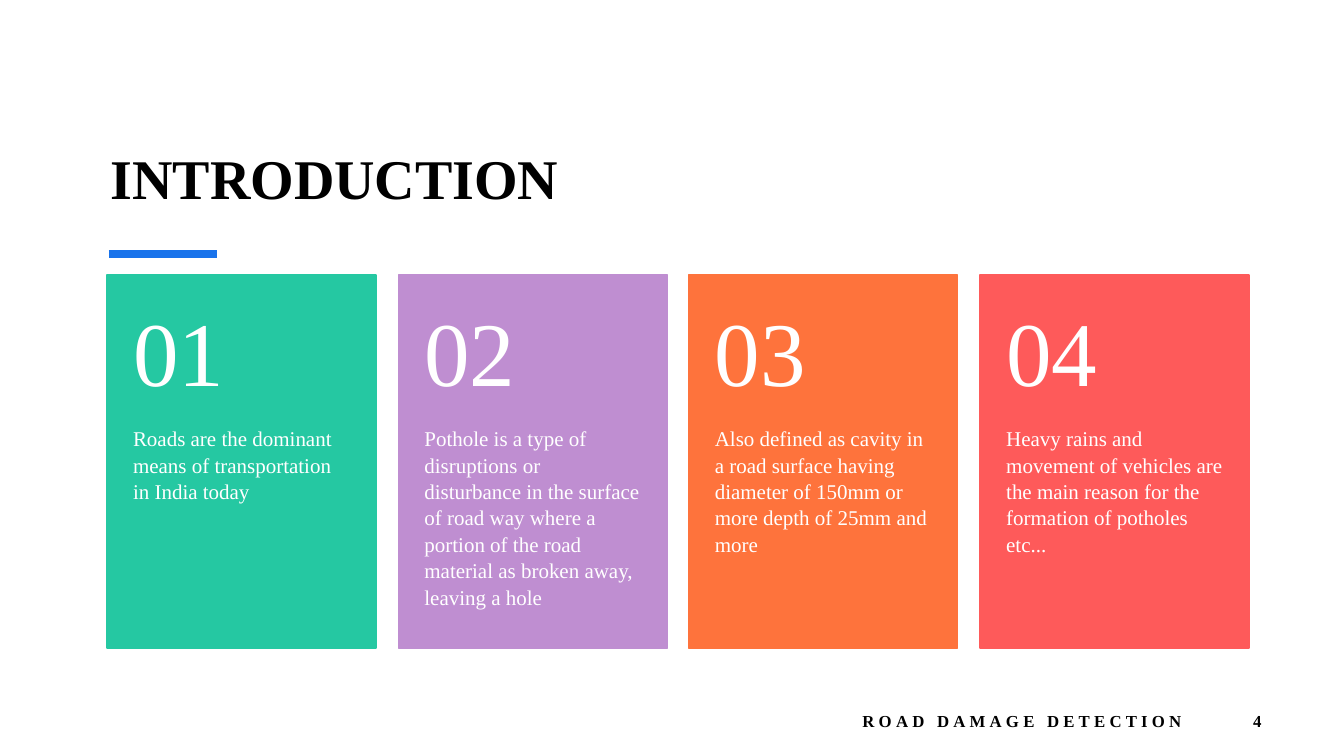
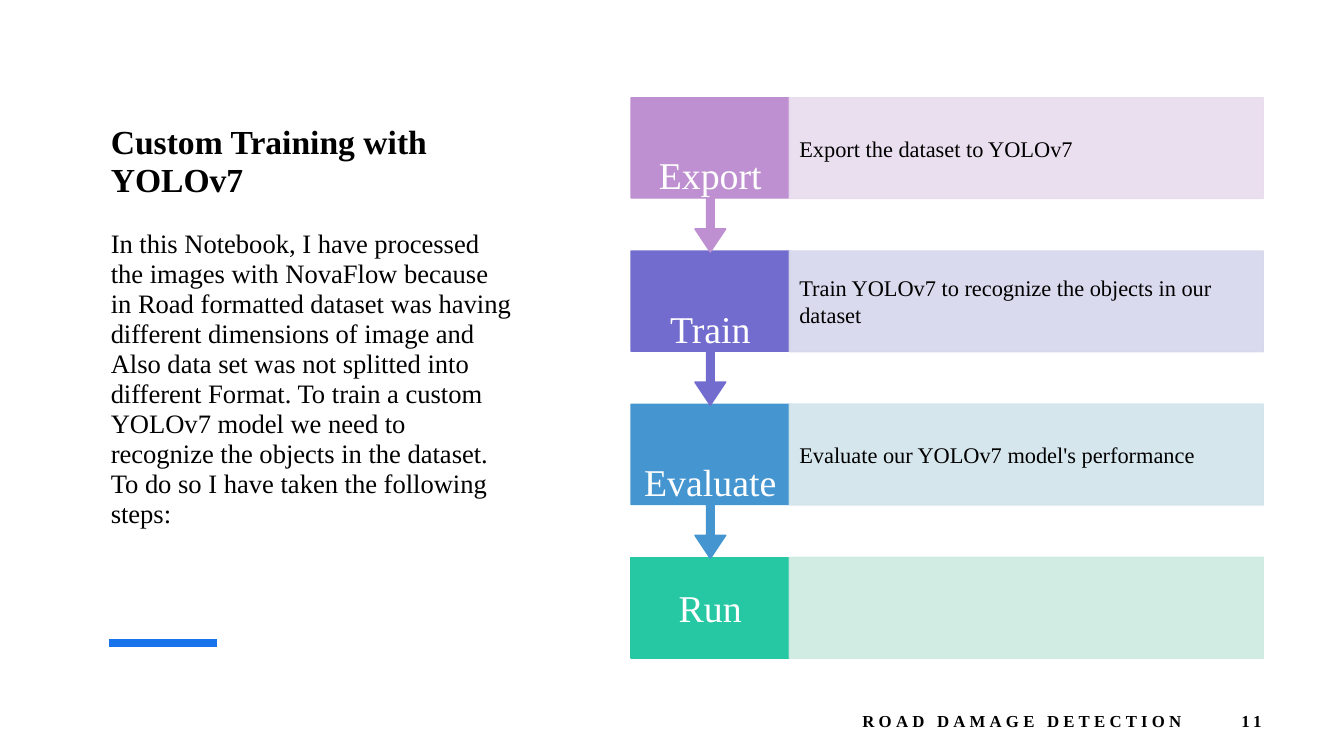
from dataclasses import dataclass

from pptx import Presentation
from pptx.dml.color import RGBColor
from pptx.enum.shapes import MSO_CONNECTOR, MSO_SHAPE
from pptx.enum.text import MSO_ANCHOR, PP_ALIGN
from pptx.oxml.ns import qn
from pptx.oxml.xmlchemy import OxmlElement
from pptx.util import Emu, Pt

RECT, CALLOUT = MSO_SHAPE.RECTANGLE, MSO_SHAPE.UP_ARROW_CALLOUT
STRAIGHT = MSO_CONNECTOR.STRAIGHT
TOP, MIDDLE, BOTTOM = MSO_ANCHOR.TOP, MSO_ANCHOR.MIDDLE, MSO_ANCHOR.BOTTOM
LEFT, CENTER, RIGHT = PP_ALIGN.LEFT, PP_ALIGN.CENTER, PP_ALIGN.RIGHT

EMU_PER_PX = 9144  # 100 px to the inch


@dataclass(frozen=True)
class Theme:
    font: str = "Times New Roman"
    ink: str = "000000"
    paper: str = "FFFFFF"
    accent: str = "1973EB"
    title: int = 40
    heading: int = 24
    body: int = 19
    number: int = 65
    card: int = 15
    step: int = 27
    detail: int = 16
    footer: int = 12


THEME = Theme()
FOOTER = "ROAD DAMAGE DETECTION"
INSETS = (10, 5, 10, 5)

CARDS = [
    ("25C8A2", "Roads are the dominant means of transportation in India today"),
    ("BF8ED1", "Pothole is a type of disruptions or disturbance in the surface of "
               "road way where a portion of the road material as broken away, "
               "leaving a hole"),
    ("FE733C", "Also defined as cavity in a road surface having diameter of 150mm "
               "or more depth of 25mm and more"),
    ("FE5A5A", "Heavy rains and movement of vehicles are the main reason for the "
               "formation of potholes etc..."),
]

TRAINING_TEXT = (
    "In this Notebook, I have processed the images with NovaFlow because in Road "
    "formatted dataset was having different dimensions of image and Also data set "
    "was not splitted into different Format. To train a custom YOLOv7 model we need "
    "to recognize the objects in the dataset. To do so I have taken the following "
    "steps:"
)

# name, box colour, panel colour, detail
STEPS = [
    ("Export", "BF90D1", "E8DCEE", "Export the dataset to YOLOv7"),
    ("Train", "726CCF", "D7D7ED",
     "Train YOLOv7 to recognize the objects in our dataset"),
    ("Evaluate", "4495D0", "D2E4EC", "Evaluate our YOLOv7 model's performance"),
    ("Run", "25C8A2", "CDEBE0", None),
]


def px(n):
    return Emu(n * EMU_PER_PX)


def rgb(color):
    return RGBColor.from_string(color)


# Elements
def style(p, size, color=THEME.ink, bold=False, align=LEFT, leading=None,
          tracking=None):
    p.alignment = align
    font = p.font
    font.name, font.size, font.bold = THEME.font, Pt(size), bold
    font.color.rgb = rgb(color)
    if leading:
        p.line_spacing = leading
    if tracking:
        p._p.get_or_add_pPr().get_or_add_defRPr().set("spc", str(tracking * 100))


def add_text(slide, box, text, size, anchor=TOP, insets=INSETS, **look):
    tf = slide.shapes.add_textbox(*map(px, box)).text_frame
    tf.word_wrap = True
    tf.vertical_anchor = anchor
    tf.margin_left, tf.margin_top, tf.margin_right, tf.margin_bottom = map(px, insets)
    p = tf.paragraphs[0]
    p.add_run().text = text
    style(p, size, **look)
    return tf


def add_block(slide, box, color, kind=RECT, alpha=None):
    sp = slide.shapes.add_shape(kind, *map(px, box))
    sp.shadow.inherit = False
    sp.fill.solid()
    sp.fill.fore_color.rgb = rgb(color)
    sp.line.color.rgb = rgb(color)
    sp.line.width = Pt(1)
    if alpha:
        for clr in sp._element.spPr.iter(qn("a:srgbClr")):
            node = OxmlElement("a:alpha")
            node.set("val", str(alpha * 1000))
            clr.append(node)
    return sp


def add_accent_bar(slide, y):
    line = slide.shapes.add_connector(STRAIGHT, px(108), px(y), px(215), px(y))
    line.line.color.rgb = rgb(THEME.accent)
    line.line.width = Pt(6)
    line._element.spPr.append(OxmlElement("a:effectLst"))


def add_footer(slide, number):
    for x, width, text in ((1182, 79, str(number)), (740, 442, FOOTER)):
        add_text(slide, (x, 695, width, 40), text, THEME.footer, MIDDLE,
                 bold=True, align=RIGHT, tracking=3)


def add_card(slide, x, number, color, text):
    top, width, height, head = 273, 267, 370, 148
    add_block(slide, (x, top, width, height), color)
    add_text(slide, (x, top, width, head), f"{number:02}", THEME.number, MIDDLE,
             (26, 18, 26, 18), color=THEME.paper)
    add_text(slide, (x, top + head, width, height - head), text, THEME.card, TOP,
             (26, 0, 26, 36), color=THEME.paper, leading=1.05)


def add_step(slide, y, name, color, panel, detail, last):
    x, width, height = 626, 157, 100
    box = (x, y, width, height if last else 153)
    sp = add_block(slide, box, color, RECT if last else CALLOUT)
    if not last:
        sp.rotation = 180
        for i, value in enumerate((0.05, 0.1, 0.15, 0.65)):
            sp.adjustments[i] = value
    add_text(slide, box, name, THEME.step, MIDDLE, (11, 21, 11, 21),
             color=THEME.paper, align=CENTER)
    panel_box = (x + width, y, 470, height)
    add_block(slide, panel_box, panel, alpha=90)
    if detail:
        add_text(slide, panel_box, detail, THEME.detail, MIDDLE, (10, 22, 10, 22))


# Slides
def new_slide(prs, bar_y, number):
    slide = prs.slides.add_slide(prs.slide_layouts[6])
    add_accent_bar(slide, bar_y)
    add_footer(slide, number)
    return slide


def build_introduction(prs):
    slide = new_slide(prs, 252, 4)
    add_text(slide, (100, 62, 1138, 152), "INTRODUCTION", THEME.title, BOTTOM,
             bold=True)
    left, right, width = 106, 1239, 267
    pitch = (right - width - left) / (len(CARDS) - 1)
    for i, (color, text) in enumerate(CARDS):
        add_card(slide, round(left + i * pitch), i + 1, color, text)


def build_training(prs):
    slide = new_slide(prs, 638, 11)
    tf = add_text(slide, (100, 118, 418, 483), "Custom Training with YOLOv7",
                  THEME.heading, bold=True, leading=0.94)
    p = tf.add_paragraph()
    p.add_run().text = TRAINING_TEXT
    p.space_before = Pt(21)
    style(p, THEME.body, leading=0.94)

    # Bottom step first, so each arrow tip lies over the next box
    top, pitch = 97, 152
    for i, step in reversed(list(enumerate(STEPS))):
        add_step(slide, top + i * pitch, *step, last=i == len(STEPS) - 1)


def main():
    prs = Presentation()
    prs.slide_width, prs.slide_height = px(1333), px(750)
    build_introduction(prs)
    build_training(prs)
    prs.save("out.pptx")


if __name__ == "__main__":
    main()
